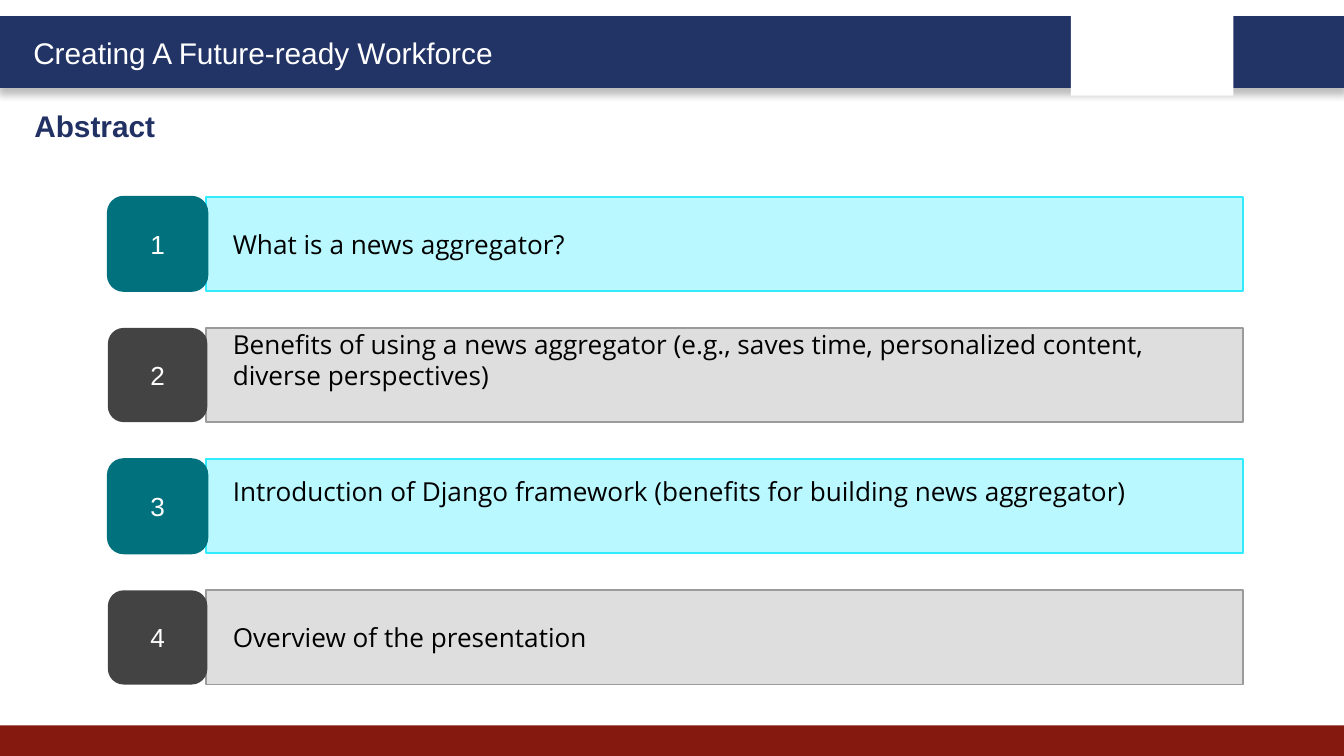
from lxml import etree
from pptx import Presentation
from pptx.dml.color import RGBColor
from pptx.enum.shapes import MSO_SHAPE
from pptx.enum.text import MSO_ANCHOR, PP_ALIGN
from pptx.oxml.ns import qn
from pptx.util import Cm, Pt

RECT, ROUNDED = MSO_SHAPE.RECTANGLE, MSO_SHAPE.ROUNDED_RECTANGLE
MIDDLE, LEFT, CENTER = MSO_ANCHOR.MIDDLE, PP_ALIGN.LEFT, PP_ALIGN.CENTER

COLORS = {
    "navy": "223366", "heading": "213163", "red": "851910",
    "white": "FFFFFF", "black": "000000",
    "teal": "00717D", "aqua": "BAF8FF", "aqua_line": "31EBFF",
    "dark": "434343", "gray": "DEDEDE", "gray_line": "9B9B9B",
}
# badge fill, badge line, bar fill, bar line
STYLES = [("teal", "teal", "aqua", "aqua_line"),
          ("dark", None, "gray", "gray_line")]
# text, whether it sits above the middle of its bar
ITEMS = [
    ("What is a news aggregator?\u00a0", False),
    ("Benefits of using a news aggregator (e.g., saves time, "
     "personalized content, diverse perspectives)", True),
    ("Introduction of Django framework "
     "(benefits for building news aggregator)", True),
    ("Overview of the presentation\u00a0", False),
]


def rgb(name):
    return RGBColor.from_string(COLORS[name])


def add_box(shapes, kind, x, y, w, h, fill, line=None, line_width=1):
    sp = shapes.add_shape(kind, Cm(x), Cm(y), Cm(w), Cm(h))
    sp.shadow.inherit = False
    sp.fill.solid()
    sp.fill.fore_color.rgb = rgb(fill)
    if line:
        sp.line.color.rgb = rgb(line)
        sp.line.width = Pt(line_width)
    else:
        sp.line.fill.background()
    return sp


def write(tf, text, font, size, color, align=LEFT, bold=False):
    p = tf.paragraphs[0]
    p.text = text
    p.alignment = align
    p.font.name, p.font.size, p.font.bold = font, Pt(size), bold
    p.font.color.rgb = rgb(color)


def add_label(s, text, x, y, w, h, color, bold=False):
    tf = s.shapes.add_textbox(Cm(x), Cm(y), Cm(w), Cm(h)).text_frame
    tf.word_wrap = True
    write(tf, text, "Arial", 16, color, bold=bold)


def add_drop_shadow(sp):
    effects = sp._element.spPr.find(qn("a:effectLst"))
    shadow = etree.SubElement(effects, qn("a:outerShdw"), blurRad=str(Pt(4)),
                              dist=str(Pt(3)), dir="5400000", algn="t", rotWithShape="0")
    color = etree.SubElement(shadow, qn("a:srgbClr"), val=COLORS["black"])
    etree.SubElement(color, qn("a:alpha"), val="25000")


def add_header(s, x, y, w, h):
    band = add_box(s.shapes, RECT, x, y, w, h, "navy", "navy", 2)
    add_drop_shadow(band)
    # White panel left free for a logo
    add_box(s.shapes, RECT, x + 20.24, y - 0.15, 3.07, 1.63, "white")
    add_label(s, "Creating A Future-ready Workforce", x + 0.38, y + 0.2, 10.5, 0.94, "white")


def add_item(s, x, y, w, h, number, text, raised, style):
    badge_fill, badge_line, bar_fill, bar_line = style
    group = s.shapes.add_group_shape()
    # Bar with the topic
    bar = add_box(group.shapes, RECT, x + 1.85, y, w - 1.85, h, bar_fill, bar_line)
    tf = bar.text_frame
    tf.word_wrap = True
    tf.vertical_anchor = MIDDLE
    tf.margin_left = Cm(0.51)
    if raised:
        tf.margin_top, tf.margin_bottom = Cm(0), Cm(0.59)
    write(tf, text, "Open Sans", 14, "black")
    # Numbered badge
    badge = add_box(group.shapes, ROUNDED, x, y, 1.88, h, badge_fill, badge_line)
    badge.text_frame.vertical_anchor = MIDDLE
    write(badge.text_frame, str(number), "Arial", 14, "white", CENTER)


def add_agenda(s, x, y, w, h, item_h=1.78):
    pitch = (h - item_h) / (len(ITEMS) - 1)
    for i, (text, raised) in enumerate(ITEMS):
        add_item(s, x, y + i * pitch, w, item_h, i + 1, text, raised,
                 STYLES[i % len(STYLES)])


def main():
    prs = Presentation()
    prs.slide_width, prs.slide_height = Cm(25.4), Cm(14.29)
    s = prs.slides.add_slide(prs.slide_layouts[6])
    add_header(s, 0, 0.33, 25.4, 1.3)
    # Footer band
    add_box(s.shapes, RECT, 0, 13.71, 25.4, 0.58, "red")
    add_label(s, "Abstract", 0.4, 1.91, 12.3, 0.94, "heading", bold=True)
    add_agenda(s, 2.04, 3.72, 21.45, 9.22)
    prs.save("out.pptx")


if __name__ == "__main__":
    main()
